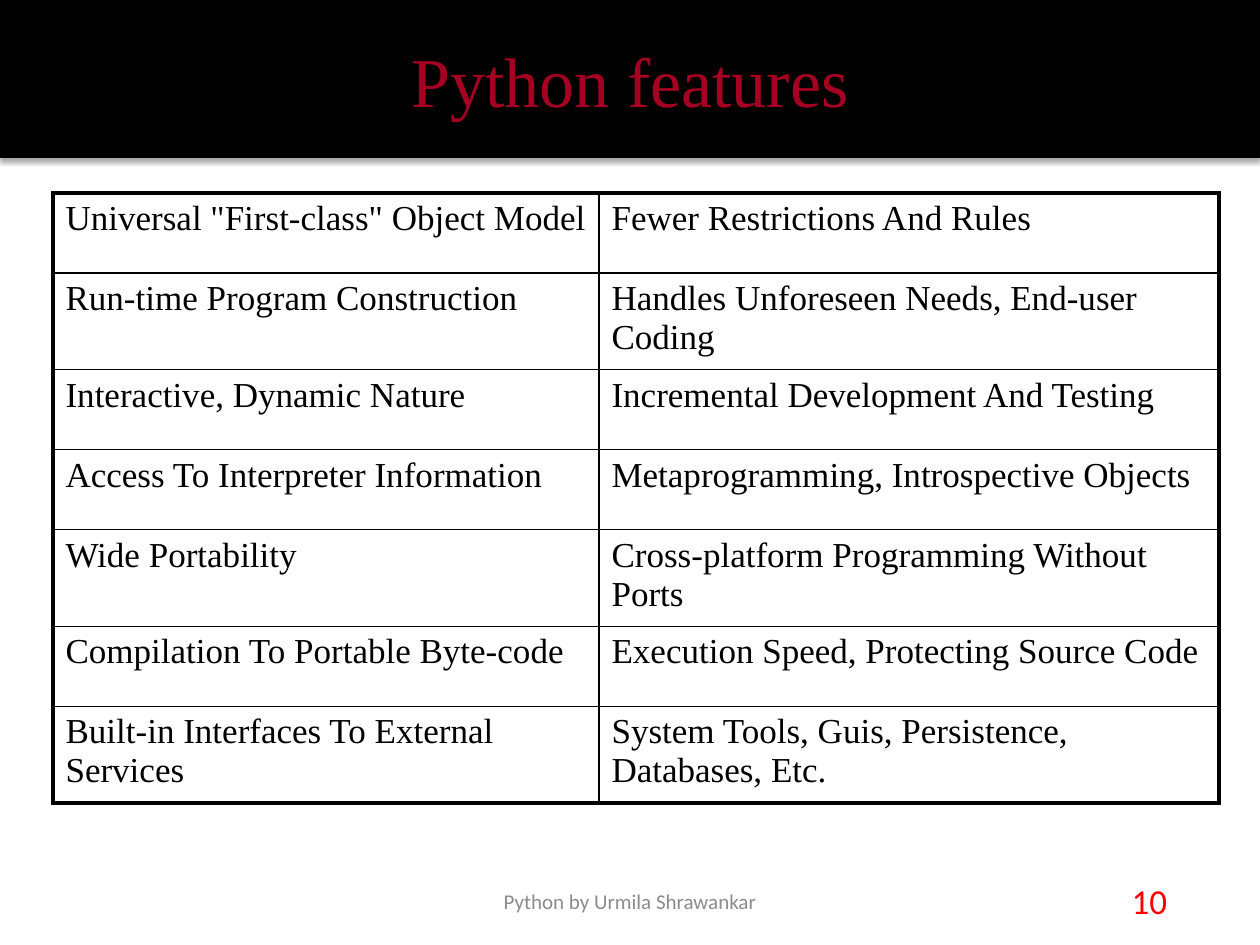
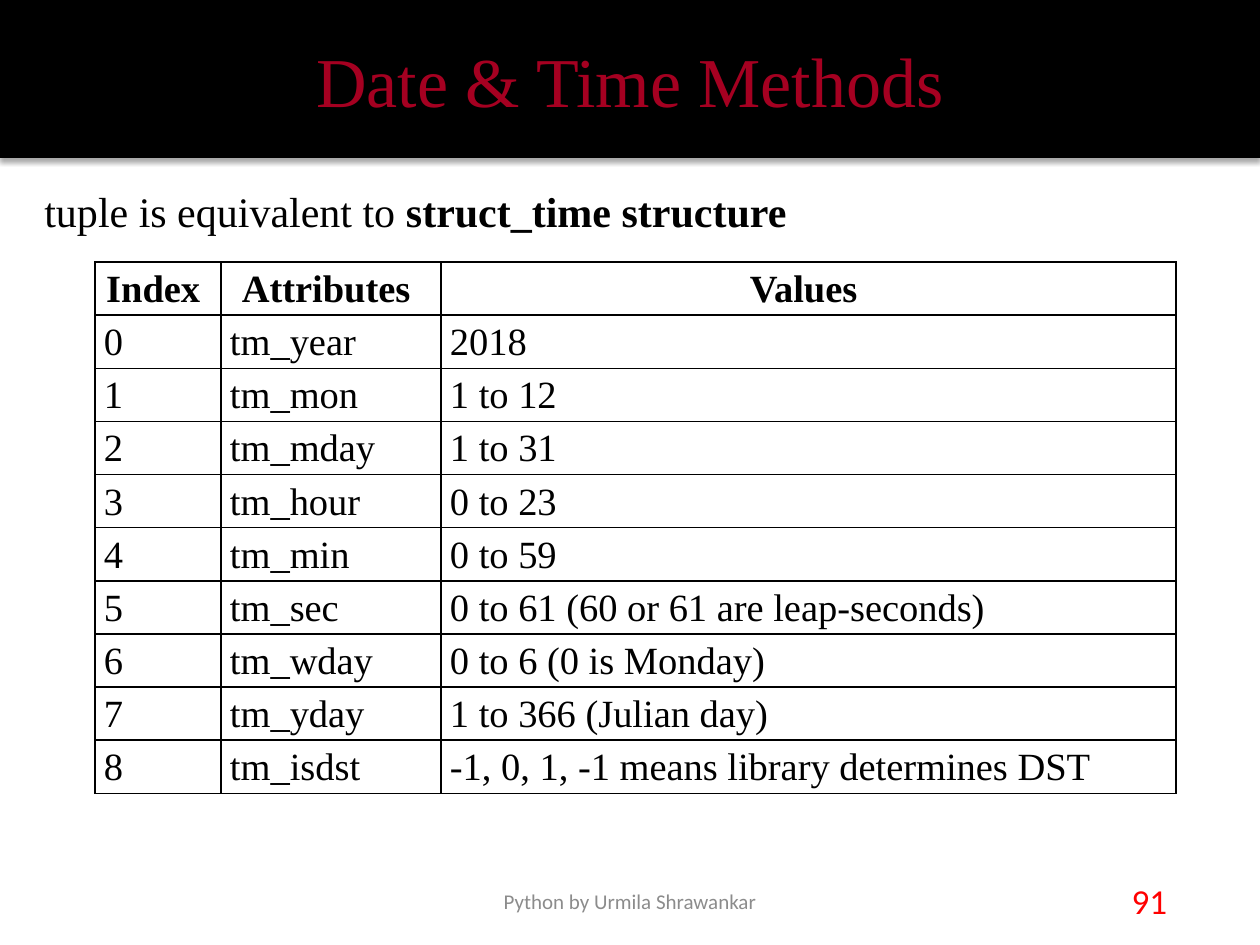
from dataclasses import dataclass

from lxml import etree
from pptx import Presentation
from pptx.dml.color import RGBColor
from pptx.enum.shapes import MSO_SHAPE
from pptx.enum.text import MSO_ANCHOR, PP_ALIGN
from pptx.oxml.ns import qn
from pptx.util import Emu, Pt

RECTANGLE = MSO_SHAPE.RECTANGLE
TOP, MIDDLE = MSO_ANCHOR.TOP, MSO_ANCHOR.MIDDLE
LEFT, CENTER = PP_ALIGN.LEFT, PP_ALIGN.CENTER
PX_PER_INCH = 126


@dataclass(frozen=True)
class Theme:
    """Colours, fonts and sizes shared by the slides."""
    black: str = "000000"
    title: str = "A50021"
    number: str = "FF0000"
    footer: str = "8C8C8C"
    serif: str = "Times New Roman"
    sans: str = "Calibri"
    title_size: int = 40
    lead_size: int = 24
    time_size: int = 22
    feature_size: int = 20
    number_size: int = 20
    footer_size: int = 12
    thin: float = 1
    thick: float = 2.25


THEME = Theme()
SLIDE_BOX = (0, 0, 1260, 945)
TITLE_BOX = (0, 0, 1260, 158)
FOOTER_BOX = (431, 876, 398, 50)
NUMBER_BOX = (1102, 876, 95, 50)
LEAD_BOX = (32, 179, 1187, 63)

FOOTER = "Python by Urmila Shrawankar"
FEATURES = [
    ('Universal "First-class" Object Model', "Fewer Restrictions And Rules"),
    ("Run-time Program Construction", "Handles Unforeseen Needs, End-user Coding"),
    ("Interactive, Dynamic Nature", "Incremental Development And Testing"),
    ("Access To Interpreter Information", "Metaprogramming, Introspective Objects"),
    ("Wide Portability", "Cross-platform Programming Without Ports"),
    ("Compilation To Portable Byte-code", "Execution Speed, Protecting Source Code"),
    ("Built-in Interfaces To External Services",
     "System Tools, Guis, Persistence, Databases, Etc."),
]
TIME_HEADER = ("Index ", "Attributes ", "Values ")
TIME_FIELDS = [
    ("tm_year", "2018"),
    ("tm_mon", "1 to 12"),
    ("tm_mday", "1 to 31"),
    ("tm_hour", "0 to 23"),
    ("tm_min", "0 to 59"),
    ("tm_sec", "0 to 61 (60 or 61 are leap-seconds)"),
    ("tm_wday", "0 to 6 (0 is Monday)"),
    ("tm_yday", "1 to 366 (Julian day)"),
    ("tm_isdst", "-1, 0, 1, -1 means library determines DST"),
]


def px(length):
    """Turn pixels into EMU."""
    return Emu(round(length * 914400 / PX_PER_INCH))


def style(paragraph, font_name, size, color, align=LEFT, bold=None):
    """Set the alignment and font of a paragraph."""
    paragraph.alignment = align
    font = paragraph.font
    font.name, font.size, font.bold = font_name, Pt(size), bold
    font.color.rgb = RGBColor.from_string(color)


def add_text(slide, box, runs, font_name, size, color, align=CENTER, anchor=MIDDLE):
    """Add a one-paragraph text box from (text, bold) runs."""
    frame = slide.shapes.add_textbox(*map(px, box)).text_frame
    frame.word_wrap = True
    frame.vertical_anchor = anchor
    paragraph = frame.paragraphs[0]
    style(paragraph, font_name, size, color, align)
    for text, bold in runs:
        run = paragraph.add_run()
        run.text = text
        if bold:
            run.font.bold = True


def add_shadow(shape):
    """Give a shape a soft shadow straight below it."""
    shape.shadow.inherit = False
    effects = shape.element.spPr.find(qn("a:effectLst"))
    shadow = etree.SubElement(effects, qn("a:outerShdw"), blurRad=str(Pt(3.1)),
                              dist=str(Pt(1.8)), dir="5400000", rotWithShape="0")
    color = etree.SubElement(shadow, qn("a:srgbClr"), val=THEME.black)
    etree.SubElement(color, qn("a:alpha"), val="35000")


def add_title_band(slide, box, title):
    """Add the black band with the centred title."""
    band = slide.shapes.add_shape(RECTANGLE, *map(px, box))
    band.fill.solid()
    band.fill.fore_color.rgb = RGBColor.from_string(THEME.black)
    band.line.fill.background()
    add_shadow(band)
    frame = band.text_frame
    frame.word_wrap = True
    frame.vertical_anchor = MIDDLE
    frame.text = title
    style(frame.paragraphs[0], THEME.serif, THEME.title_size, THEME.title, CENTER)


def add_slide(presentation, title, number):
    """Add a slide with its title band, footer and number."""
    slide = presentation.slides.add_slide(presentation.slide_layouts[6])
    add_title_band(slide, TITLE_BOX, title)
    add_text(slide, FOOTER_BOX, [(FOOTER, False)],
             THEME.sans, THEME.footer_size, THEME.footer)
    add_text(slide, NUMBER_BOX, [(str(number), False)],
             THEME.sans, THEME.number_size, THEME.number)
    return slide


def set_borders(cell, widths):
    """Draw the left, right, top and bottom borders of a cell."""
    properties = cell._tc.get_or_add_tcPr()
    for side, width in zip("LRTB", widths):
        line = etree.SubElement(properties, qn(f"a:ln{side}"), w=str(Pt(width)))
        fill = etree.SubElement(line, qn("a:solidFill"))
        etree.SubElement(fill, qn("a:srgbClr"), val=THEME.black)


def add_grid(slide, origin, column_widths, row_heights, rows, size, outline):
    """Add an unfilled ruled table and return it."""
    box = (*origin, sum(column_widths), sum(row_heights))
    table = slide.shapes.add_table(len(rows), len(column_widths), *map(px, box)).table
    table.first_row = table.horz_banding = False
    for column, width in zip(table.columns, column_widths):
        column.width = px(width)
    for row, height in zip(table.rows, row_heights):
        row.height = px(height)
    last_row, last_column = len(rows) - 1, len(column_widths) - 1
    for i, texts in enumerate(rows):
        for j, text in enumerate(texts):
            cell = table.cell(i, j)
            cell.text = text
            style(cell.text_frame.paragraphs[0], THEME.serif, size, THEME.black)
            edges = (j == 0, j == last_column, i == 0, i == last_row)
            set_borders(cell, [outline if edge else THEME.thin for edge in edges])
            cell.fill.background()
    return table


def features_slide(presentation):
    """Build the slide of Python features and their benefits."""
    slide = add_slide(presentation, "Python features", 10)
    wrapped_rows = (1, 4, 6)
    heights = [90 if i in wrapped_rows else 80 for i in range(len(FEATURES))]
    add_grid(slide, (53, 193), (546, 620), heights, FEATURES,
             THEME.feature_size, THEME.thick)


def time_slide(presentation):
    """Build the slide of struct_time fields."""
    slide = add_slide(presentation, "Date & Time Methods", 91)
    add_text(slide, LEAD_BOX,
             [("tuple is equivalent to ", False), ("struct_time structure", True)],
             THEME.serif, THEME.lead_size, THEME.black, LEFT, TOP)
    rows = [TIME_HEADER] + [(str(i), *field) for i, field in enumerate(TIME_FIELDS)]
    table = add_grid(slide, (95, 262), (126, 220, 735), [53] * len(rows), rows,
                     THEME.time_size, THEME.thin)
    for cell in table.iter_cells():
        cell.margin_left = cell.margin_right = px(9)
        cell.margin_top = cell.margin_bottom = 0
        cell.text_frame.paragraphs[0].line_spacing = 1.15
    for cell in table.rows[0].cells:
        style(cell.text_frame.paragraphs[0], THEME.serif, THEME.time_size,
              THEME.black, CENTER, True)


def main():
    """Build and save the presentation."""
    presentation = Presentation()
    presentation.slide_width, presentation.slide_height = map(px, SLIDE_BOX[2:])
    features_slide(presentation)
    time_slide(presentation)
    presentation.save("out.pptx")


if __name__ == "__main__":
    main()
